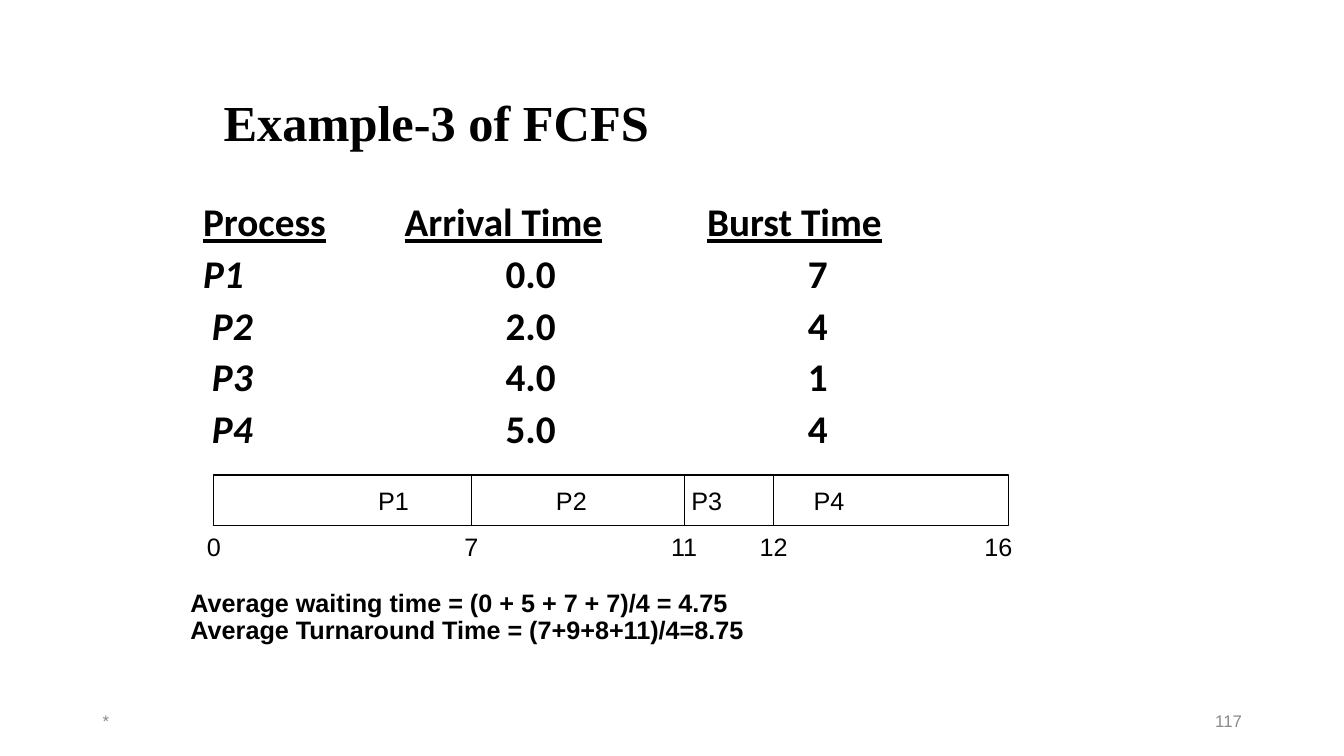
from lxml.etree import SubElement
from pptx import Presentation
from pptx.dml.color import RGBColor
from pptx.enum.shapes import MSO_CONNECTOR as Connector, MSO_SHAPE as Shape
from pptx.enum.text import MSO_ANCHOR as Anchor, MSO_AUTO_SIZE as AutoSize, PP_ALIGN as Align
from pptx.oxml.ns import qn
from pptx.util import Cm, Pt

TITLE = "Example-3 of FCFS"
HEADINGS = ("Process", "Arrival Time", "Burst Time")
PROCESSES = [
    ("P1", "0.0", "7"),
    (" P2", "2.0", "4"),
    (" P3", "4.0", "1"),
    (" P4", "5.0", "4"),
]
# Label and its centre, in cm from the left edge of the page
GANTT_LABELS = [("P1", 9.92), ("P2", 14.4), ("P3", 17.81), ("P4", 20.89)]
GANTT_TIMES = [("0", 5.39), ("7", 11.88), ("11", 17.24), ("12", 19.5), ("16", 25.16)]
AVERAGES = [
    "Average waiting time = (0 + 5 + 7 + 7)/4 = 4.75",
    "Average Turnaround Time = (7+9+8+11)/4=8.75",
]
FOOTERS = [("*", 2.34, Align.LEFT), ("117", 23.93, Align.RIGHT)]

COLORS = {"ink": "000000", "paper": "FFFFFF", "footer": "898989"}
TITLE_FONT = {"name": "Times New Roman", "size": Pt(36), "bold": True}
TABLE_FONT = {"name": "Calibri", "size": Pt(28), "bold": True}
GANTT_FONT = {"name": "Arial", "size": Pt(18)}
AVERAGE_FONT = {**GANTT_FONT, "bold": True}
FOOTER_FONT = {"name": "Arial", "size": Pt(12)}

INSET = 0.25
TAB = 2.54
# Tabs needed before each column, at one stop per TAB
HEADING_TABS = (0, 1, 2)
VALUE_TABS = (0, 3, 3)
BAR_LEFT, BAR_TOP, BAR_WIDTH, BAR_HEIGHT = 5.38, 11.97, 20.04, 1.27
TICK_TOP, TICK_WIDTH, TICK_HEIGHT = 13.46, 1.7, 0.64


def color(name):
    return RGBColor.from_string(COLORS[name])


def place(shape, left, top, width, height):
    shape.left, shape.top, shape.width, shape.height = map(Cm, (left, top, width, height))


def add_span(para, text, font, ink="ink", **extra):
    span = para.add_run()
    span.text = text
    for key, value in {**font, **extra}.items():
        setattr(span.font, key, value)
    span.font.color.rgb = color(ink)


def add_center_tabs(para, stops):
    """Set centred tab stops, in cm from the left of the text area."""
    tabs = SubElement(para._p.get_or_add_pPr(), qn("a:tabLst"))
    for stop in stops:
        SubElement(tabs, qn("a:tab"), pos=str(Cm(stop)), algn="ctr")


def next_para(frame, index):
    return frame.add_paragraph() if index else frame.paragraphs[0]


def add_box(shapes, left, top, width, height):
    """Add a white rectangle without outline."""
    box = shapes.add_shape(Shape.RECTANGLE, *map(Cm, (left, top, width, height)))
    box.shadow.inherit = False
    box.fill.solid()
    box.fill.fore_color.rgb = color("paper")
    box.line.fill.background()
    box.text_frame.vertical_anchor = Anchor.MIDDLE
    return box


def set_line(shape):
    shape.line.color.rgb = color("ink")
    shape.line.width = Pt(0.75)


def add_title(page):
    title = page.shapes.title
    place(title, 5.38, 1.96, 25.65, 2.41)
    title.text_frame.vertical_anchor = Anchor.MIDDLE
    title.text_frame.auto_size = AutoSize.NONE
    para = title.text_frame.paragraphs[0]
    para.alignment = Align.LEFT
    para.line_spacing = 0.9
    add_span(para, TITLE, TITLE_FONT)


def add_processes(page):
    body = page.placeholders[1]
    place(body, 1.7, 5.08, 30.48, 6.5)
    frame = body.text_frame
    frame.margin_left = Cm(3.42)
    frame.auto_size = AutoSize.NONE
    for index, row in enumerate([HEADINGS, *PROCESSES]):
        para = next_para(frame, index)
        properties = para._p.get_or_add_pPr()
        for key, length in {"marL": 0, "indent": 0, "defTabSz": TAB}.items():
            properties.set(key, str(Cm(length)))
        SubElement(properties, qn("a:buNone"))
        para.line_spacing = 0.8
        para.space_before = Pt(10 if index else 0)
        tab_counts = VALUE_TABS if index else HEADING_TABS
        for column, (text, tab_count) in enumerate(zip(row, tab_counts)):
            if tab_count:
                add_span(para, "\t" * tab_count, TABLE_FONT)
            add_span(para, text, TABLE_FONT, underline=not index,
                     italic=bool(index and not column))


def add_gantt(page):
    shapes = page.shapes.add_group_shape().shapes
    bar = add_box(shapes, BAR_LEFT, BAR_TOP, BAR_WIDTH, BAR_HEIGHT)
    set_line(bar)
    para = bar.text_frame.paragraphs[0]
    para.alignment = Align.LEFT
    add_center_tabs(para, [center - BAR_LEFT - INSET for _, center in GANTT_LABELS])
    add_span(para, "".join("\t" + label for label, _ in GANTT_LABELS), GANTT_FONT)

    for _, x in GANTT_TIMES[1:-1]:
        divider = shapes.add_connector(
            Connector.STRAIGHT, Cm(x), Cm(BAR_TOP), Cm(x), Cm(BAR_TOP + BAR_HEIGHT))
        set_line(divider)
        SubElement(divider._element.spPr, qn("a:effectLst"))

    for time, x in GANTT_TIMES:
        tick = add_box(shapes, x - TICK_WIDTH / 2, TICK_TOP, TICK_WIDTH, TICK_HEIGHT)
        para = tick.text_frame.paragraphs[0]
        para.alignment = Align.CENTER
        add_span(para, time, GANTT_FONT)


def add_averages(page):
    box = page.shapes.add_textbox(Cm(4.55), Cm(14.76), Cm(16.94), Cm(1.65))
    box.text_frame.word_wrap = True
    box.text_frame.auto_size = AutoSize.SHAPE_TO_FIT_TEXT
    for index, text in enumerate(AVERAGES):
        para = next_para(box.text_frame, index)
        para.line_spacing = 0.9
        add_span(para, text, AVERAGE_FONT)


def add_footers(page):
    for text, left, alignment in FOOTERS:
        box = page.shapes.add_textbox(Cm(left), Cm(17.65), Cm(7.62), Cm(1.02))
        box.text_frame.word_wrap = True
        box.text_frame.vertical_anchor = Anchor.MIDDLE
        para = box.text_frame.paragraphs[0]
        para.alignment = alignment
        add_span(para, text, FOOTER_FONT, "footer")


def main():
    deck = Presentation()
    deck.slide_width, deck.slide_height = Cm(33.87), Cm(19.05)
    page = deck.slides.add_slide(deck.slide_layouts[1])
    for add_part in (add_title, add_processes, add_gantt, add_averages, add_footers):
        add_part(page)
    deck.save("out.pptx")


if __name__ == "__main__":
    main()
